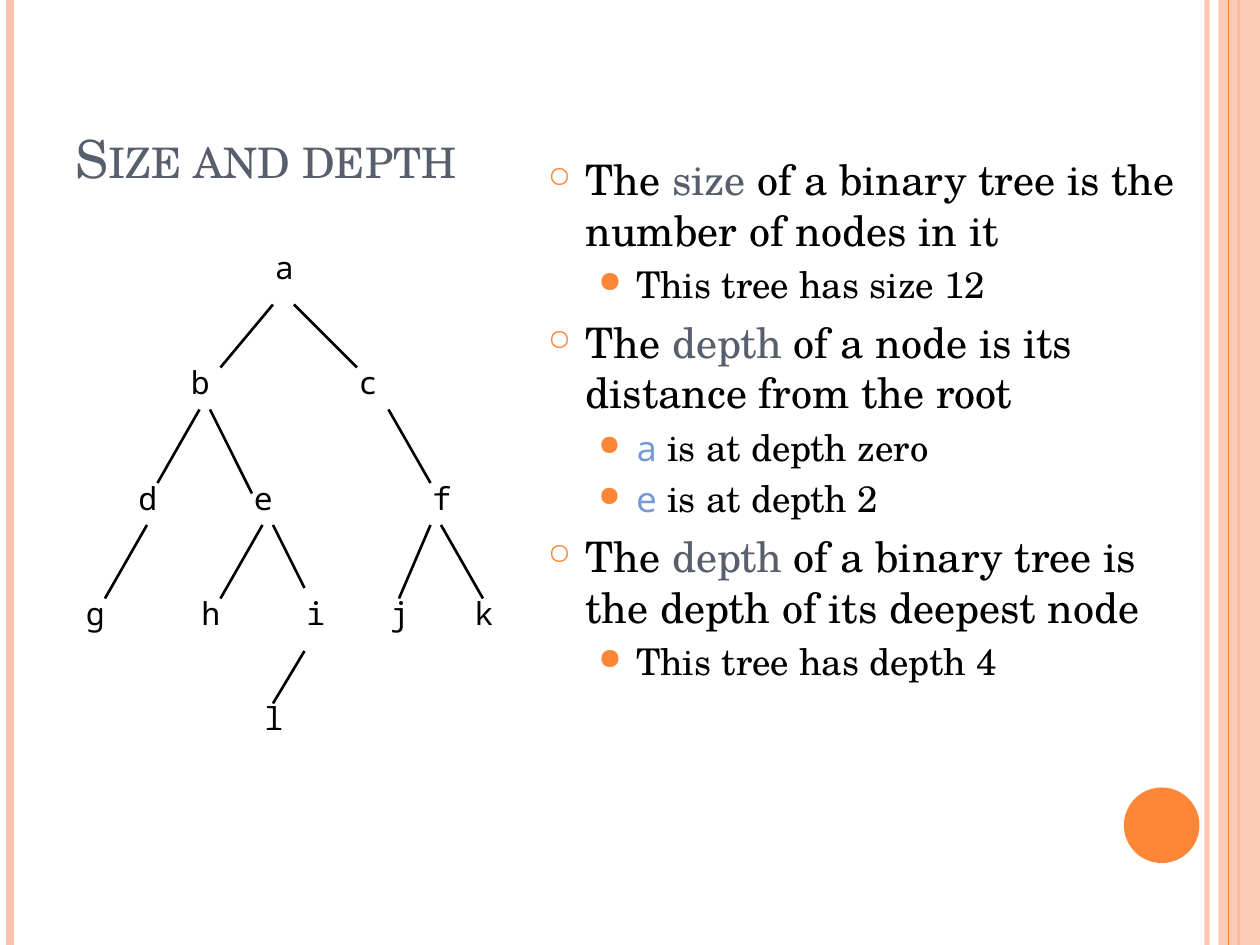
from dataclasses import dataclass

from lxml.etree import SubElement as Sub
from pptx import Presentation
from pptx.dml.color import RGBColor as Rgb
from pptx.enum.shapes import MSO_CONNECTOR as Link, MSO_SHAPE as Form
from pptx.enum.text import MSO_ANCHOR as Anchor, MSO_AUTO_SIZE as Fit
from pptx.oxml.ns import qn
from pptx.util import Inches, Pt


@dataclass(frozen=True)
class Theme:
    """Colours, fonts and type sizes."""
    ink: str = "000000"
    slate: str = "575F6D"
    blue: str = "7598D9"
    orange: str = "FE8637"
    peach: str = "FEC3AE"
    serif: str = "TeX Gyre Schola"
    mono: str = "Noto Sans Mono"
    title: int = 30
    main: int = 24
    sub: int = 21
    code: int = 20
    node: int = 18


T = Theme()
UNIT = 1 / 12  # tree grid step in inches

NODES = {"a": (18, 0), "b": (10, 11), "c": (26, 11), "d": (5, 22),
         "e": (16, 22), "f": (33, 22), "g": (0, 33), "h": (11, 33),
         "i": (21, 33), "j": (29, 33), "k": (37, 33), "l": (17, 43)}
EDGES = [(19, 6, 14, 12), (21, 6, 27, 12), (12, 16, 8, 23),
         (13, 16, 17, 24), (30, 16, 34, 23), (7, 27, 3, 34),
         (18, 27, 14, 34), (19, 27, 22, 33), (22, 39, 19, 44),
         (34, 27, 31, 34), (35, 27, 39, 34)]

# Level, then (text, style) runs
POINTS = [
    (0, [("The ", "main"), ("size", "term"),
         (" of a binary tree is the number of nodes in it", "main")]),
    (1, [("This tree has size 12", "sub")]),
    (0, [("The ", "main"), ("depth", "term"),
         (" of a node is its distance from the root", "main")]),
    (1, [("a", "code"), (" is at depth zero", "sub")]),
    (1, [("e", "code"), (" is at depth 2", "sub")]),
    (0, [("The ", "main"), ("depth", "term"),
         (" of a binary tree is the depth of its deepest node", "main")]),
    (1, [("This tree has depth 4", "sub")]),
]
STYLES = {"main": (T.main, T.serif, T.ink), "term": (T.main, T.serif, T.slate),
          "sub": (T.sub, T.serif, T.ink), "code": (T.code, T.mono, T.blue)}
# Left indent, space before, bullet sign, bullet size
LEVELS = [(0.3, 6, "○", 70), (0.7, 4.2, "●", 80)]


def style(run, size, face, tint):
    """Set size, font and colour of a run."""
    run.font.size, run.font.name = Pt(size), face
    run.font.color.rgb = Rgb.from_string(tint)


def fade(fill, pct):
    """Make a solid fill partly clear."""
    tint = fill._xPr.find(qn("a:solidFill"))[0]
    Sub(tint, qn("a:alpha"), val=str(pct * 1000))


def line(shapes, x1, y1, x2, y2, tint, width):
    """Draw a straight line without shadow."""
    link = shapes.add_connector(
        Link.STRAIGHT, Inches(x1), Inches(y1), Inches(x2), Inches(y2))
    link.line.color.rgb = Rgb.from_string(tint)
    link.line.width = Pt(width)
    Sub(link._element.spPr, qn("a:effectLst"))
    return link


def text(shapes, x, y, w, h):
    """Add a wrapping text box and return its frame."""
    frame = shapes.add_textbox(
        Inches(x), Inches(y), Inches(w), Inches(h)).text_frame
    frame.word_wrap = True
    return frame


def solid(shapes, form, x, y, w, h, tint):
    """Add a filled shape with no outline."""
    shape = shapes.add_shape(form, Inches(x), Inches(y), Inches(w), Inches(h))
    shape.shadow.inherit = False
    shape.fill.solid()
    shape.fill.fore_color.rgb = Rgb.from_string(tint)
    shape.line.fill.background()
    return shape


def frame_page(shapes, w, h):
    """Draw the edge stripes and the disc."""
    def stripe(x, tint, width):
        return line(shapes, x, 0, x, h, tint, width)

    fade(stripe(w - 0.42, T.peach, 3).line.fill, 93)
    stripe(0.08, T.peach, 4.5)
    stripe(w - 0.17, T.orange, 1.5)
    band = solid(shapes, Form.RECTANGLE, w - 0.33, 0, 0.33, h, T.peach)
    fade(band.fill, 87)
    stripe(w - 0.25, T.orange, 0.75)
    solid(shapes, Form.OVAL, w - 1.08, h - 1.25, 0.6, 0.6, T.orange)


def title(shapes, x, y, w, h):
    """Write the heading in small caps."""
    frame = text(shapes, x, y, w, h)
    frame.vertical_anchor = Anchor.BOTTOM
    frame.text = "Size and depth"
    run = frame.paragraphs[0].runs[0]
    style(run, T.title, T.serif, T.slate)
    run.font._element.set("cap", "small")


def bullet(para, level):
    """Give a paragraph the indent and bullet of its level."""
    left, gap, sign, size = LEVELS[level]
    para.level, para.space_before = level, Pt(gap)
    props = para._p.get_or_add_pPr()
    props.set("marL", str(Inches(left)))
    props.set("indent", str(Inches(-0.3)))
    Sub(Sub(props, qn("a:buClr")), qn("a:srgbClr"), val=T.orange)
    Sub(props, qn("a:buSzPct"), val=str(size * 1000))
    Sub(props, qn("a:buChar"), char=sign)


def points(shapes, x, y, w, h):
    """Write the bulleted definitions."""
    frame = text(shapes, x, y, w, h)
    for i, (level, runs) in enumerate(POINTS):
        para = frame.add_paragraph() if i else frame.paragraphs[0]
        bullet(para, level)
        for words, kind in runs:
            run = para.add_run()
            run.text = words
            style(run, *STYLES[kind])


def tree(shapes, x, y):
    """Draw the binary tree as one group on a grid."""
    group = shapes.add_group_shape().shapes
    for name, (col, row) in NODES.items():
        frame = text(group, x + col * UNIT, y + row * UNIT, 5 * UNIT, 6 * UNIT)
        frame.auto_size = Fit.SHAPE_TO_FIT_TEXT
        frame.text = name
        style(frame.paragraphs[0].runs[0], T.node, T.mono, T.ink)
    for c1, r1, c2, r2 in EDGES:
        line(group, x + c1 * UNIT, y + r1 * UNIT,
             x + c2 * UNIT, y + r2 * UNIT, T.ink, 1.5)


def main():
    """Build and save the slide."""
    deck = Presentation()
    deck.slide_width, deck.slide_height = Inches(10), Inches(7.5)
    shapes = deck.slides.add_slide(deck.slide_layouts[6]).shapes
    frame_page(shapes, 10, 7.5)
    title(shapes, 0.5, 0.3, 8.17, 1.25)
    points(shapes, 4.25, 1.17, 5.33, 5.21)
    tree(shapes, 7 * UNIT, 23 * UNIT)
    deck.save("out.pptx")


main()
